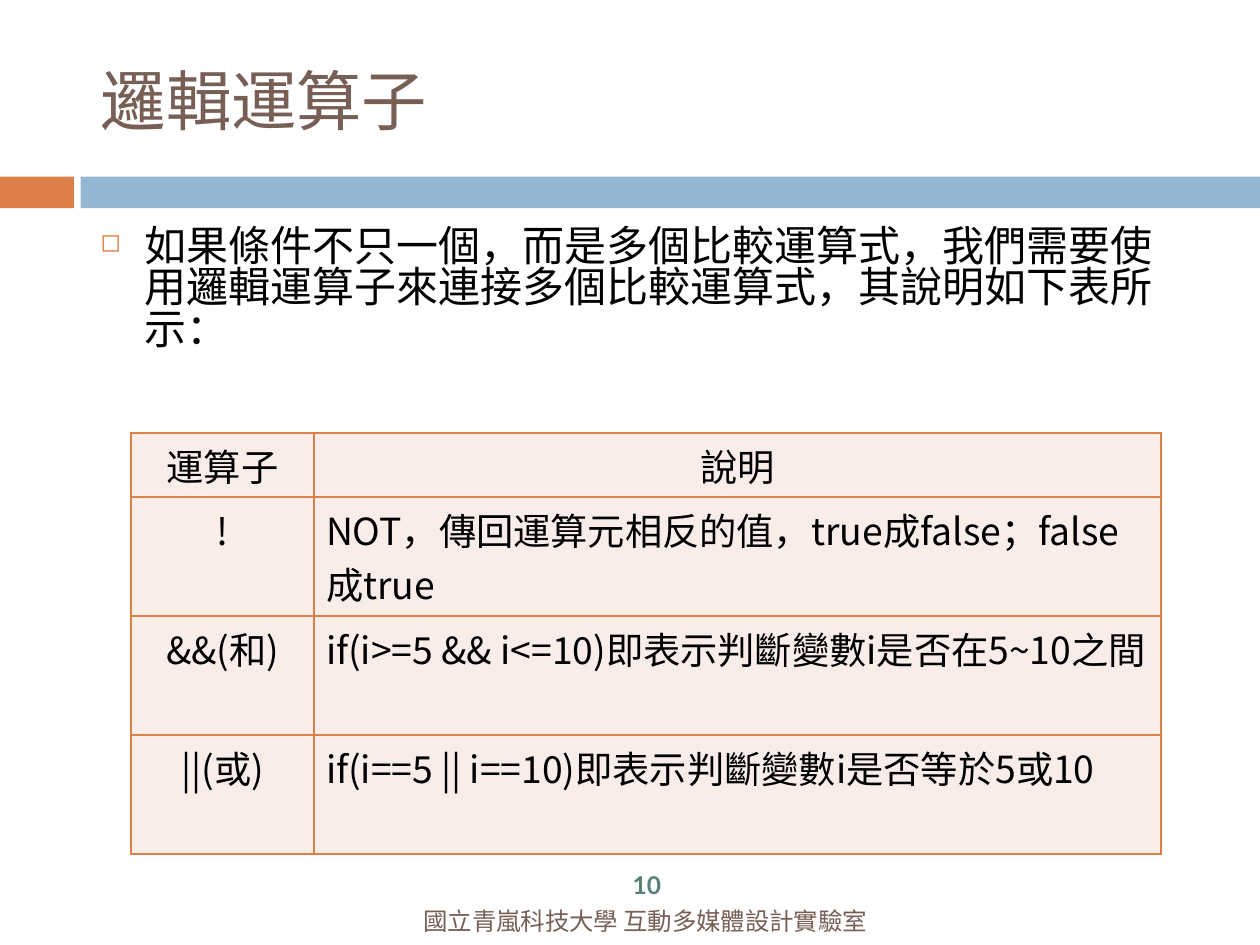
"""Build the slide on logical operators with its explanatory table."""
from lxml import etree
from pptx import Presentation
from pptx import util as u
from pptx.dml.color import RGBColor
from pptx.enum import shapes, text
from pptx.oxml.ns import qn

COLOURS = {"orange": "DD8047", "blue": "94B6D2", "brown": "775F55",
           "green": "578279", "black": "000000", "cell": "F9EDE9"}
CJK, LATIN = "Noto Sans CJK SC", "Lato"
LEFT, CENTRE = text.PP_ALIGN.LEFT, text.PP_ALIGN.CENTER
TOP, MIDDLE = text.MSO_ANCHOR.TOP, text.MSO_ANCHOR.MIDDLE


class SlideBuilder:
    def __init__(self, deck):
        self.slide = deck.slides.add_slide(deck.slide_layouts[5])

    def colour(self, name):
        return RGBColor.from_string(COLOURS[name])

    def place(self, bounds):
        return [u.Cm(length) for length in bounds]

    def add_span(self, para, words, size, colour="black", font=CJK, bold=False, align=LEFT):
        para.alignment = align
        span = para.add_run()
        span.text = words
        span.font.size, span.font.name, span.font.bold = u.Pt(size), font, bold
        span.font.color.rgb = self.colour(colour)
        east_asian = etree.SubElement(span.font._element, qn("a:ea"))
        east_asian.set("typeface", CJK)

    def bar(self, bounds, colour):
        shape = self.slide.shapes.add_shape(shapes.MSO_SHAPE.RECTANGLE, *self.place(bounds))
        shape.shadow.inherit = False
        shape.fill.solid()
        shape.fill.fore_color.rgb = self.colour(colour)
        shape.line.fill.background()

    def title(self, bounds, words):
        box = self.slide.shapes.title
        box.left, box.top, box.width, box.height = self.place(bounds)
        box.text_frame.vertical_anchor = MIDDLE
        box.text_frame.auto_size = text.MSO_AUTO_SIZE.NONE
        self.add_span(box.text_frame.paragraphs[0], words, 28, "brown")

    def text_box(self, bounds, words, size, anchor=MIDDLE, **style):
        box = self.slide.shapes.add_textbox(*self.place(bounds))
        frame = box.text_frame
        frame.word_wrap, frame.vertical_anchor = True, anchor
        para = frame.paragraphs[0]
        self.add_span(para, words, size, **style)
        return para

    def bullet_text(self, bounds, words):
        para = self.text_box(bounds, words, 18, anchor=TOP)
        para.space_before, para.line_spacing = u.Pt(5.2), 0.82
        properties = para._p.get_or_add_pPr()
        properties.set("marL", str(u.Cm(0.66)))
        properties.set("indent", str(-u.Cm(0.66)))
        colour = etree.SubElement(properties, qn("a:buClr"))
        etree.SubElement(colour, qn("a:srgbClr")).set("val", COLOURS["orange"])
        etree.SubElement(properties, qn("a:buSzPct")).set("val", "60000")
        etree.SubElement(properties, qn("a:buChar")).set("char", "◻")

    def border(self, cell):
        properties = cell._tc.get_or_add_tcPr()
        for index, side in enumerate(("lnL", "lnR", "lnT", "lnB")):
            line = etree.Element(qn(f"a:{side}"), w=str(u.Pt(1)))
            fill = etree.SubElement(line, qn("a:solidFill"))
            etree.SubElement(fill, qn("a:srgbClr")).set("val", COLOURS["orange"])
            properties.insert(index, line)

    def table(self, left, top, widths, heights, rows):
        bounds = left, top, sum(widths), sum(heights)
        table = self.slide.shapes.add_table(len(rows), len(widths), *self.place(bounds)).table
        for column, width in zip(table.columns, widths):
            column.width = u.Cm(width)
        for row_index, (height, row) in enumerate(zip(heights, rows)):
            table.rows[row_index].height = u.Cm(height)
            for column_index, words in enumerate(row):
                cell = table.cell(row_index, column_index)
                cell.margin_left = cell.margin_right = u.Cm(0.18)
                cell.margin_top = cell.margin_bottom = u.Cm(0.08)
                cell.fill.solid()
                cell.fill.fore_color.rgb = self.colour("cell")
                self.border(cell)
                align = LEFT if row_index and column_index else CENTRE
                self.add_span(cell.text_frame.paragraphs[0], words, 16, align=align)


deck = Presentation()
deck.slide_width, deck.slide_height = u.Cm(19.05), u.Cm(14.29)
page = SlideBuilder(deck)
page.bar((0, 2.67, 1.12, 0.48), "orange")
page.bar((1.22, 2.67, 17.83, 0.48), "blue")
page.title((1.27, 0.48, 16.99, 2.06), "邏輯運算子")
page.text_box((4.11, 13.67, 11.3, 0.51), "國立青嵐科技大學 互動多媒體設計實驗室", 10.5,
              colour="brown", font=LATIN, align=CENTRE)
page.text_box((9.22, 13.13, 1.12, 0.51), "10", 10.5,
              colour="green", font=LATIN, bold=True, align=CENTRE)
page.bullet_text((1.27, 3.33, 16.99, 9.37),
                 "如果條件不只一個，而是多個比較運算式，我們需要使用邏輯運算子來連接多個比較運算式，其說明如下表所示：")
page.table(1.98, 6.55, (2.77, 12.8), (0.97, 1.8, 1.8, 1.8), (
    ("運算子", "說明"),
    ("!", "NOT，傳回運算元相反的值，true成false；false成true"),
    ("&&(和)", "if(i>=5 && i<=10)即表示判斷變數i是否在5~10之間"),
    ("||(或)", "if(i==5 || i==10)即表示判斷變數i是否等於5或10"),
))
deck.save("out.pptx")
